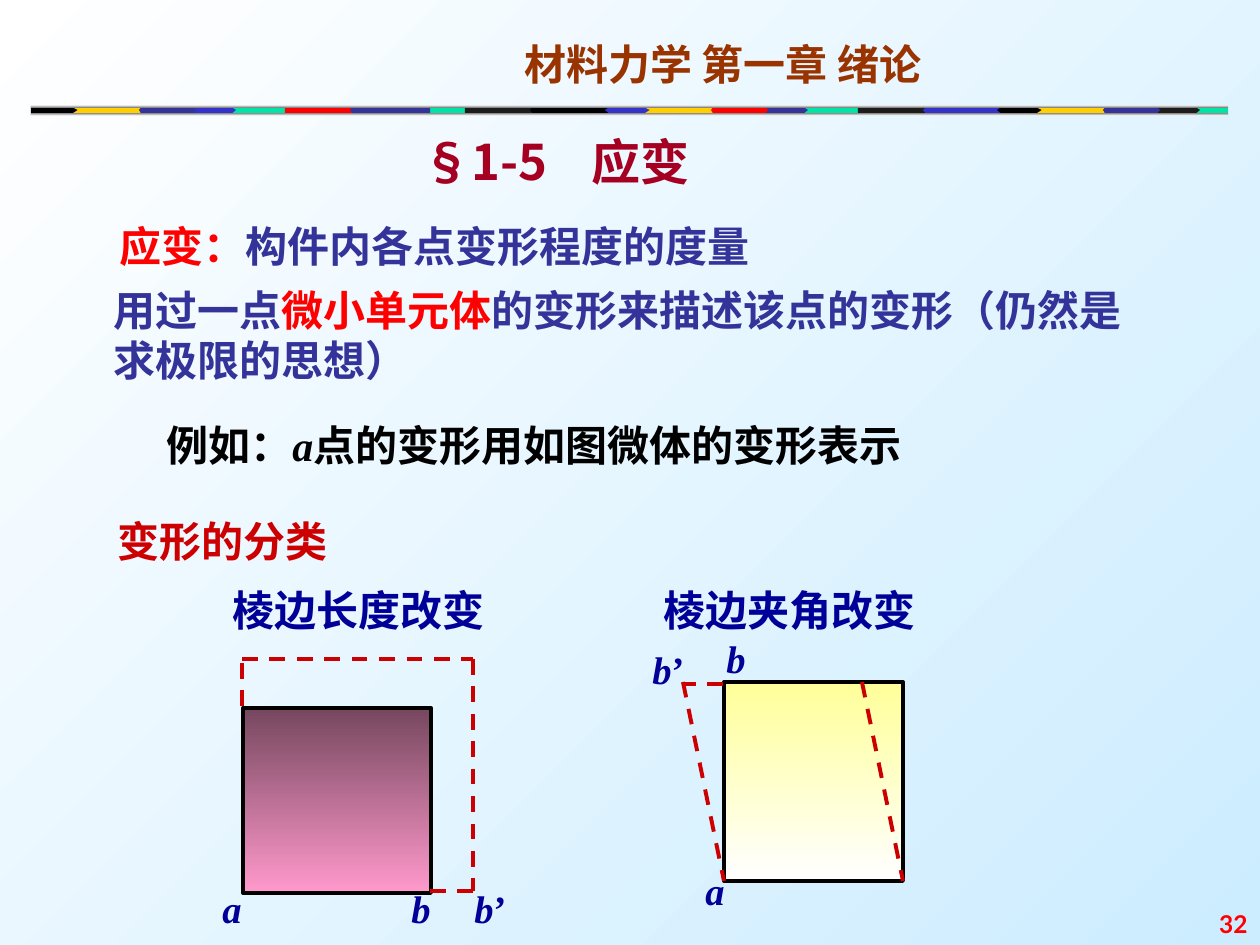
"""Build the slide on strain: definition, example and the two kinds of deformation."""
from dataclasses import dataclass

from lxml.etree import SubElement
from pptx import Presentation
from pptx.dml.color import RGBColor
from pptx.enum.dml import MSO_LINE
from pptx.enum.shapes import MSO_CONNECTOR, MSO_SHAPE
from pptx.enum.text import MSO_ANCHOR as Anchor, MSO_AUTO_SIZE as AutoSize, PP_ALIGN as Align
from pptx.oxml.ns import qn
from pptx.util import Pt

PX = 914400 / 126
COLORS = {
    "white": "FFFFFF", "sky": "CCECFF", "gray": "767676", "green": "00E4A8",
    "black": "000000", "coal": "1C1C1C", "blue": "3333CC", "indigo": "333399",
    "gold": "FFCF01", "red": "FF0000", "brown": "993300", "wine": "A50021",
    "navy": "000099", "crimson": "CC0000", "plum": "76475E", "pink": "FF99CC",
    "yellow": "FFFF99",
}
CJK, LATO, TIMES = "Noto Sans CJK SC", "Lato", "Times New Roman"


@dataclass(frozen=True)
class Style:
    size: int
    color: str
    name: str = LATO
    italic: bool = False


@dataclass(frozen=True)
class Label:
    box: tuple[int, int, int, int]
    runs: tuple[tuple[str, Style], ...]
    align: Align = Align.LEFT
    anchor: Anchor = Anchor.TOP


@dataclass(frozen=True)
class Segment:
    left: int
    right: int
    left_bulge: int
    right_bulge: int
    colors: tuple[str, ...]


@dataclass(frozen=True)
class Square:
    box: tuple[int, int, int, int]
    top_color: str
    bottom_color: str


HEADING = Style(24, "navy", CJK)
INDIGO, RED, BLACK = Style(24, "indigo"), Style(24, "red"), Style(24, "black")
POINT, PRIME = Style(22, "navy", TIMES, True), Style(22, "navy", TIMES)
A, B = (("a", POINT),), (("b", POINT),)
B_PRIME = (*B, ("’", PRIME))

TITLE = Label((410, 125, 417, 72), (("§1-5\t应变", Style(28, "wine", CJK)),))
TITLE_TAB = 169
LABELS = (
    Label((512, 32, 486, 63), (("材料力学 第一章 绪论", Style(24, "brown", CJK)),)),
    Label((107, 214, 851, 63), (("应变：", RED), ("构件内各点变形程度的度量", INDIGO))),
    Label((101, 278, 1042, 113), (
        ("用过一点", INDIGO), ("微小单元体", RED),
        ("的变形来描述该点的变形（仍然是求极限的思想）", INDIGO))),
    Label((154, 413, 1042, 63), (
        ("例如：", BLACK), ("a", Style(24, "black", TIMES, True)),
        ("点的变形用如图微体的变形表示", BLACK))),
    Label((105, 509, 307, 63), (("变形的分类", Style(24, "crimson")),), Align.JUSTIFY),
    Label((220, 578, 284, 63), (("棱边长度改变", HEADING),)),
    Label((651, 578, 284, 63), (("棱边夹角改变", HEADING),)),
    Label((210, 879, 42, 59), A),
    Label((399, 879, 53, 59), B),
    Label((462, 879, 73, 59), B_PRIME),
    Label((693, 861, 42, 59), A),
    Label((714, 629, 53, 59), B),
    Label((640, 640, 73, 59), B_PRIME),
    Label((1176, 882, 84, 63), (("32", Style(14, "red")),), Align.RIGHT, Anchor.BOTTOM),
)
SQUARES = (
    Square((243, 708, 188, 185), "plum", "pink"),
    Square((724, 682, 179, 199), "yellow", "white"),
)
DASHES = (
    (242, 706, 242, 659), (242, 659, 473, 659), (473, 659, 473, 891), (430, 891, 473, 891),
    (723, 684, 683, 684), (683, 682, 724, 881), (862, 682, 903, 881),
)
BAR_TOP, BAR_BOTTOM = 106, 115
LONG_SHIFTS, SHORT_SHIFTS = (0, -393, -573), (0, -392, -964)
LONG_SEGMENTS = (
    Segment(858, 934, 0, 0, ("coal", "coal", "red")),
    Segment(927, 1003, -4, 0, ("blue", "black", "indigo")),
)
SHORT_SEGMENTS = (
    Segment(1155, 1194, -5, 6, ("coal", "indigo", "blue")),
    Segment(1003, 1056, -6, -4, ("black", "blue", "black")),
    Segment(1034, 1109, 8, 0, ("gold", "gold", "gold")),
    Segment(1106, 1156, -3, 4, ("indigo", "red", "indigo")),
)


def emu(*lengths: int) -> list[int]:
    return [round(length * PX) for length in lengths]


def rgb(color: str) -> RGBColor:
    return RGBColor.from_string(COLORS[color])


def shade(fill, start: str, end: str, angle: int = 270) -> None:
    fill.gradient()
    fill.gradient_angle = angle
    for stop, color in zip(fill.gradient_stops, (start, end)):
        stop.color.rgb = rgb(color)


def set_font(font, style: Style) -> None:
    font.name, font.size = style.name, Pt(style.size)
    font.bold, font.italic = True, style.italic
    font.color.rgb = rgb(style.color)


def write(sp, label: Label, tab: int = 0) -> None:
    sp.left, sp.top, sp.width, sp.height = emu(*label.box)
    tf = sp.text_frame
    tf.word_wrap, tf.auto_size, tf.vertical_anchor = True, AutoSize.NONE, label.anchor
    tf.margin_left = tf.margin_right = Pt(7.2)
    tf.margin_top = tf.margin_bottom = Pt(3.6)
    p = tf.paragraphs[0]
    p.alignment, p.space_before = label.align, Pt(0)
    if tab:
        tabs = SubElement(p._p.get_or_add_pPr(), qn("a:tabLst"))
        SubElement(tabs, qn("a:tab"), pos=str(emu(tab)[0]), algn="l")
    for text, style in label.runs:
        r = p.add_run()
        r.text = text
        set_font(p.font if len(label.runs) == 1 else r.font, style)


def add_polygon(s, points: list[tuple[int, int]]):
    builder = s.shapes.build_freeform(*points[0], scale=PX)
    builder.add_line_segments(points[1:], close=True)
    sp = builder.convert_to_shape()
    sp.shadow.inherit = False
    sp.line.fill.background()
    return sp


def add_segment(s, seg: Segment, shift: int, color: str) -> None:
    left, right = seg.left + shift, seg.right + shift
    middle = (BAR_TOP + BAR_BOTTOM) // 2
    sp = add_polygon(s, [
        (left, BAR_TOP), (right, BAR_TOP), (right + seg.right_bulge, middle),
        (right, BAR_BOTTOM), (left, BAR_BOTTOM), (left + seg.left_bulge, middle)])
    sp.fill.solid()
    sp.fill.fore_color.rgb = rgb(color)


def add_bar(s) -> None:
    add_segment(s, Segment(35, 1228, 0, 0, ()), 0, "green")
    add_segment(s, Segment(31, 45, 0, 0, ()), 0, "black")
    for segments, shifts in ((LONG_SEGMENTS, LONG_SHIFTS), (SHORT_SEGMENTS, SHORT_SHIFTS)):
        for i, shift in enumerate(shifts):
            for seg in segments:
                add_segment(s, seg, shift, seg.colors[i])
    for top, bottom, start, end in ((105, 108, "white", "gray"), (113, 116, "gray", "white")):
        edge = add_polygon(s, [(31, top), (1228, top), (1228, bottom), (31, bottom)])
        shade(edge.fill, start, end)


def add_square(s, square: Square) -> None:
    sp = s.shapes.add_shape(MSO_SHAPE.RECTANGLE, *emu(*square.box))
    sp.shadow.inherit = False
    shade(sp.fill, square.top_color, square.bottom_color)
    sp.line.color.rgb, sp.line.width = rgb("black"), Pt(2.25)


def add_dash(s, ends: tuple[int, int, int, int]) -> None:
    line = s.shapes.add_connector(MSO_CONNECTOR.STRAIGHT, *emu(*ends))
    line.line.color.rgb, line.line.width = rgb("crimson"), Pt(2.25)
    line.line.dash_style = MSO_LINE.DASH
    SubElement(line._element.spPr, qn("a:effectLst"))


def main() -> None:
    prs = Presentation()
    prs.slide_width, prs.slide_height = emu(1260, 945)
    s = prs.slides.add_slide(prs.slide_layouts[5])
    shade(s.background.fill, "white", "sky", 315)
    add_bar(s)
    write(s.shapes.title, TITLE, TITLE_TAB)
    for square in SQUARES:
        add_square(s, square)
    for ends in DASHES:
        add_dash(s, ends)
    for label in LABELS:
        write(s.shapes.add_textbox(*emu(*label.box)), label)
    prs.save("out.pptx")


if __name__ == "__main__":
    main()
